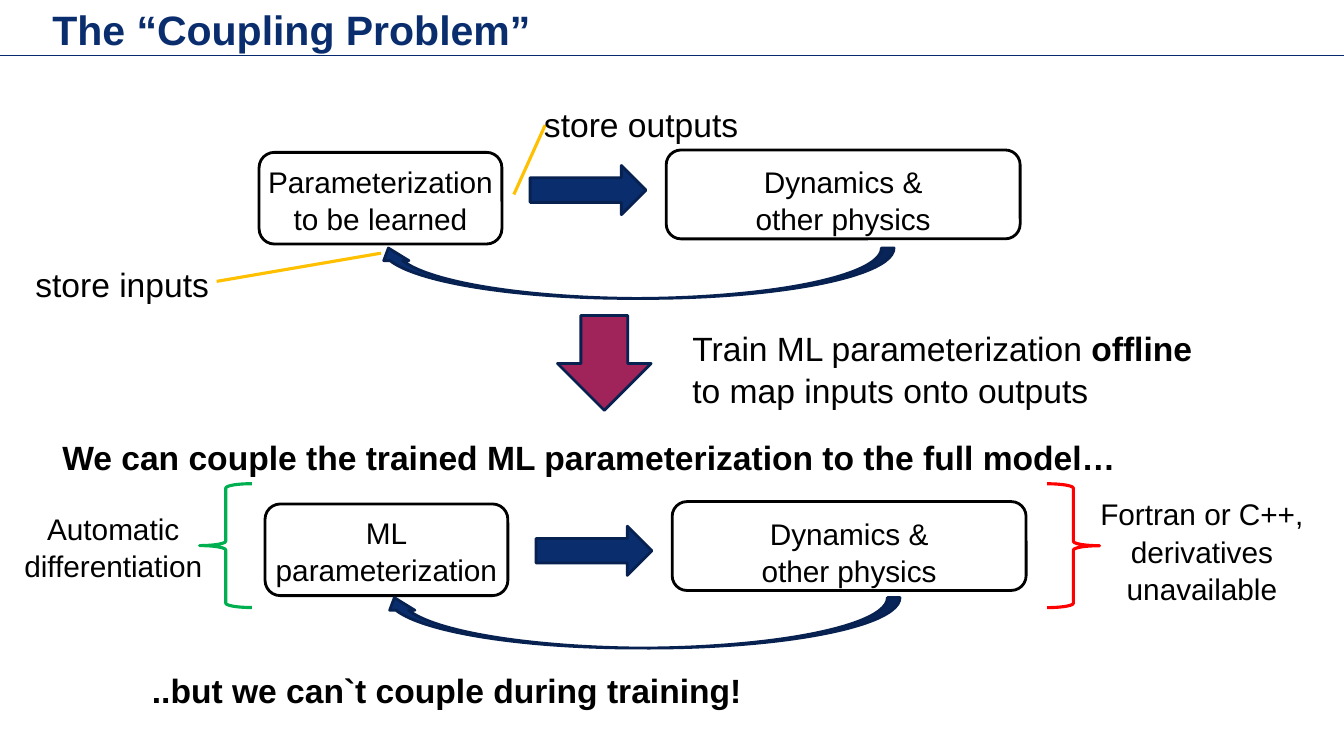
import pptx
import pptx.util
import pptx.dml.color
import pptx.enum.shapes
import pptx.enum.text
import pptx.oxml.ns
import lxml.etree
from dataclasses import dataclass

Cm, Pt = pptx.util.Cm, pptx.util.Pt
SHAPE = pptx.enum.shapes.MSO_SHAPE
ANCHOR = pptx.enum.text.MSO_ANCHOR
FIT = pptx.enum.text.MSO_AUTO_SIZE
LEFT, CENTER = pptx.enum.text.PP_ALIGN.LEFT, pptx.enum.text.PP_ALIGN.CENTER


@dataclass(frozen=True)
class Theme:
    font: str = "Arial"
    title_size: float = 29.3
    statement_size: float = 24
    box_size: float = 21.3
    line_spacing: float = 1.04
    navy: str = "0A2D6E"
    navy_edge: str = "072151"
    rule: str = "062A6D"
    berry: str = "A0235A"
    ink: str = "000000"
    amber: str = "FFC000"
    green: str = "00B050"
    red: str = "FF0000"


THEME = Theme()

# Content: a label is a list of lines, a line is a list of (text, bold)
TITLE = "The “Coupling Problem”"
PHYSICS = ["Dynamics &", "other physics"]

# Model loops: first box, shift of the boxes, top of the forward and feedback arrows
LOOPS = [
    (["Parameterization", "to be learned"], 0, 0, 4.17, 6.25),
    (["ML", "parameterization"], 0.15, 8.86, 13.26, 15.06),
]
LABELS = [
    ([[("store outputs", False)]], (13.46, 2.46, 5.46, 1.27)),
    ([[("store inputs", False)]], (0.64, 6.48, 4.93, 1.27)),
    ([[("Train ML parameterization ", False), ("offline", True)],
      [("to map inputs onto outputs", False)]], (17.2, 8.1, 13.23, 2.31)),
    ([[("We can couple the trained ML parameterization to the full model…", True)]],
     (1.32, 10.85, 27.31, 1.27)),
    ([[("..but we can`t couple during training!", True)]], (3.58, 16.71, 15.49, 1.27)),
]
# Side remarks: lines, text area, brace left edge, rotation, colour
REMARKS = [
    (["Automatic", "differentiation"], (0.33, 12.7, 5.05, 2.08), 5.03, 0, THEME.green),
    (["Fortran or C++,", "derivatives", "unavailable"], (27.43, 12.34, 5.72, 3),
     26.39, 180, THEME.red),
]
POINTERS = [(12.95, 4.9, 13.74, 3.15), (5.46, 7.09, 9.6, 6.38)]

deck = pptx.Presentation()
deck.slide_width, deck.slide_height = Cm(33.87), Cm(19.05)
slide = deck.slides.add_slide(deck.slide_layouts[5])


def rgb(colour):
    return pptx.dml.color.RGBColor.from_string(colour)


def add_figure(kind, area, edge, width=2, fill=None, rotation=0):
    figure = slide.shapes.add_shape(kind, *map(Cm, area))
    figure.shadow.inherit = False
    figure.rotation = rotation
    figure.line.color.rgb, figure.line.width = rgb(edge), Pt(width)
    if fill:
        figure.fill.solid()
        figure.fill.fore_color.rgb = rgb(fill)
    else:
        figure.fill.background()
    return figure


def add_stroke(ends, colour, width):
    stroke = slide.shapes.add_connector(
        pptx.enum.shapes.MSO_CONNECTOR.STRAIGHT, *map(Cm, ends))
    stroke.line.color.rgb, stroke.line.width = rgb(colour), Pt(width)
    lxml.etree.SubElement(stroke._element.spPr, pptx.oxml.ns.qn("a:effectLst"))


def write(frame, lines, size, align, colour=THEME.ink):
    for index, line in enumerate(lines):
        paragraph = frame.add_paragraph() if index else frame.paragraphs[0]
        paragraph.alignment = align
        paragraph.line_spacing = THEME.line_spacing
        for text, bold in line:
            run = paragraph.add_run()
            run.text = text
            run.font.name, run.font.size, run.font.bold = THEME.font, Pt(size), bold
            run.font.color.rgb = rgb(colour)


def plain(lines):
    return [[(text, False)] for text in lines]


def add_label(lines, area, size, align):
    frame = slide.shapes.add_textbox(*map(Cm, area)).text_frame
    frame.word_wrap = False
    frame.auto_size = FIT.SHAPE_TO_FIT_TEXT
    write(frame, lines, size, align)


def add_model_box(lines, area, top_margin):
    frame = add_figure(SHAPE.ROUNDED_RECTANGLE, area, THEME.ink).text_frame
    frame.word_wrap = False
    frame.vertical_anchor = ANCHOR.TOP
    frame.margin_left = frame.margin_right = 0
    frame.margin_top = Cm(top_margin)
    write(frame, plain(lines), THEME.box_size, CENTER)


# Title and the rule under it
add_stroke((0, 1.4, 33.87, 1.4), THEME.rule, 0.75)
heading = slide.shapes.title
heading.left, heading.top, heading.width, heading.height = map(Cm, (1.32, 0.03, 31.19, 1.37))
frame = heading.text_frame
frame.margin_left = frame.margin_right = frame.margin_top = frame.margin_bottom = 0
frame.vertical_anchor = ANCHOR.MIDDLE
frame.auto_size = FIT.NONE
write(frame, [[(TITLE, True)]], THEME.title_size, LEFT, THEME.navy)

# Model loops: two boxes, forward arrow, feedback arrow
for scheme, dx, dy, forward_top, feedback_top in LOOPS:
    add_model_box(scheme, (6.53 + dx, 3.84 + dy, 6.12, 2.31), 0.13)
    add_model_box(PHYSICS, (16.79 + dx, 3.78 + dy, 8.92, 2.24), 0.2)
    add_figure(SHAPE.RIGHT_ARROW, (13.36 + dx, forward_top, 2.92, 1.24),
               THEME.navy_edge, fill=THEME.navy)
    add_figure(SHAPE.CURVED_DOWN_ARROW, (9.47 + dx, feedback_top, 13.06, 1.27),
               THEME.navy_edge, fill=THEME.navy, rotation=180)

# Training step between the loops
add_figure(SHAPE.DOWN_ARROW, (14.05, 7.95, 2.36, 2.39), THEME.navy_edge, fill=THEME.berry)

# Pointers and statements
for ends in POINTERS:
    add_stroke(ends, THEME.amber, 2.25)
for lines, area in LABELS:
    add_label(lines, area, THEME.statement_size, LEFT)

# Remarks with braces beside the lower loop
for lines, area, brace_left, rotation, colour in REMARKS:
    add_figure(SHAPE.LEFT_BRACE, (brace_left, 12.19, 1.32, 3.12), colour, 2.25,
               rotation=rotation)
    add_label(plain(lines), area, THEME.box_size, CENTER)

deck.save("out.pptx")
